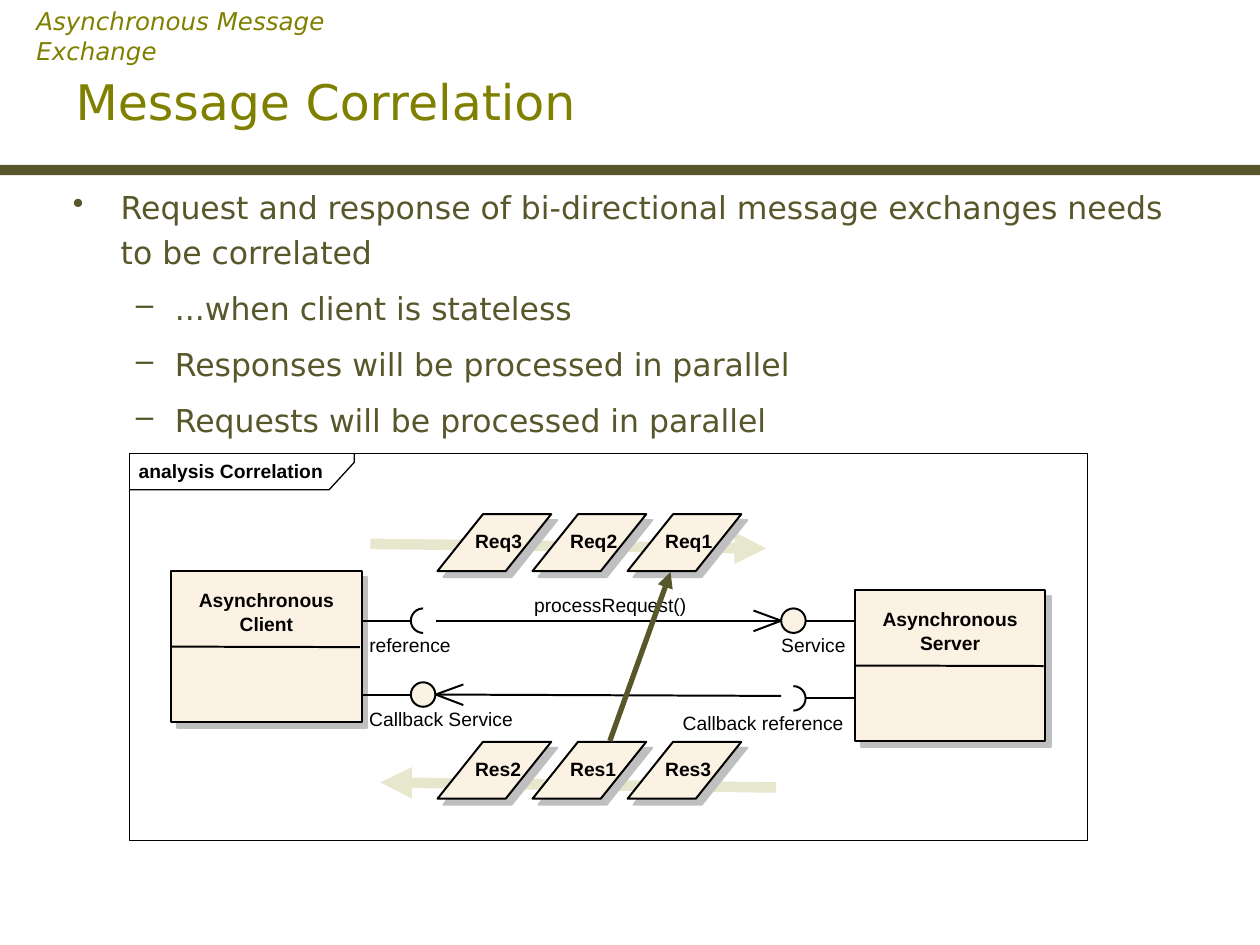
from dataclasses import dataclass

from lxml.etree import SubElement
from pptx import Presentation
from pptx.dml.color import RGBColor
from pptx.enum.shapes import MSO_CONNECTOR, MSO_SHAPE as Shape
from pptx.enum.text import MSO_ANCHOR as Anchor, MSO_AUTO_SIZE as AutoSize, PP_ALIGN as Align
from pptx.oxml.ns import qn
from pptx.util import Pt


@dataclass(frozen=True)
class Theme:
    olive: str = "808000"
    dark: str = "58572B"
    pale: str = "D1D09F"
    cream: str = "FCF2E3"
    shade: str = "C0BFC0"
    ink: str = "000000"
    text_font: str = "DejaVu Sans"
    diagram_font: str = "Arial"
    title_size: float = 28
    body_size: float = 18
    header_size: float = 14
    label_size: float = 11
    stroke: float = 1.13
    shadow_offset: float = 3.4


THEME = Theme()
BODY = [
    (0, "Request and response of bi-directional message exchanges needs to be correlated"),
    (1, "...when client is stateless"),
    (1, "Responses will be processed in parallel"),
    (1, "Requests will be processed in parallel"),
]
BULLETS = [("•", 27.4, 27.4), ("–", 58.3, 22.3)]  # character, margin, hanging indent
BOX_WIDTH, BOX_HEIGHT = 108.7, 86.6
CARD_WIDTH, CARD_HEIGHT, CARD_STEP = 65, 32.5, 54.3
PORT = 14


def color(value):
    return RGBColor.from_string(value)


def add_run(paragraph, text, font, size, fill, bold=False, italic=False):
    run = paragraph.add_run()
    run.text = text
    run.font.name, run.font.size = font, Pt(size)
    run.font.bold, run.font.italic = bold, italic
    run.font.color.rgb = color(fill)


def prepare_frame(shape, margins=(7.2, 3.6), wrap=True, anchor=Anchor.TOP):
    frame = shape.text_frame
    frame.auto_size = AutoSize.NONE
    frame.word_wrap = wrap
    frame.vertical_anchor = anchor
    frame.margin_left = frame.margin_right = Pt(margins[0])
    frame.margin_top = frame.margin_bottom = Pt(margins[1])
    return frame


def add_text_box(shapes, left, top, width, height):
    return shapes.add_textbox(Pt(left), Pt(top), Pt(width), Pt(height))


def add_label(shapes, text, left, top, width, bold=False, align=Align.LEFT):
    box = add_text_box(shapes, left, top, width, 13)
    paragraph = prepare_frame(box, margins=(0, 0), wrap=False).paragraphs[0]
    paragraph.alignment = align
    add_run(paragraph, text, THEME.diagram_font, THEME.label_size, THEME.ink, bold)


def paint(shape, fill=None, line=None, stroke=THEME.stroke):
    shape.shadow.inherit = False
    if fill:
        shape.fill.solid()
        shape.fill.fore_color.rgb = color(fill)
    else:
        shape.fill.background()
    if line:
        shape.line.color.rgb = color(line)
        shape.line.width = Pt(stroke)
    else:
        shape.line.fill.background()


def add_preset(shapes, kind, left, top, width, height, adjustments=(), **style):
    shape = shapes.add_shape(kind, Pt(left), Pt(top), Pt(width), Pt(height))
    for index, value in enumerate(adjustments):
        shape.adjustments[index] = value
    paint(shape, **style)


def add_shadowed(shapes, kind, left, top, width, height, adjustments=()):
    for offset, fill, line in ((THEME.shadow_offset, THEME.shade, THEME.shade),
                               (0, THEME.cream, THEME.ink)):
        add_preset(shapes, kind, left + offset, top + offset, width, height,
                   adjustments, fill=fill, line=line)


def add_line(shapes, start, end, fill=THEME.ink, width=THEME.stroke, arrow=False, alpha=None):
    line = shapes.add_connector(MSO_CONNECTOR.STRAIGHT, *map(Pt, (*start, *end)))
    line.line.color.rgb = color(fill)
    line.line.width = Pt(width)
    properties = line._element.spPr
    outline = properties.find(qn("a:ln"))
    if alpha:
        SubElement(outline.find(".//" + qn("a:srgbClr")), qn("a:alpha"), val=str(alpha * 1000))
    if arrow:
        SubElement(outline, qn("a:tailEnd"), type="triangle")
    SubElement(properties, qn("a:effectLst"))


def add_open_arrow(shapes, start, tip):
    add_line(shapes, start, tip)
    back = 15.8 if start[0] > tip[0] else -15.8
    for rise in (-5.8, 6):
        add_line(shapes, tip, (tip[0] + back, tip[1] + rise))


def add_component(shapes, name_lines, left, top):
    add_shadowed(shapes, Shape.RECTANGLE, left, top, BOX_WIDTH, BOX_HEIGHT)
    for index, text in enumerate(name_lines):
        add_label(shapes, text, left, top + 10 + 13.7 * index, BOX_WIDTH, True, Align.CENTER)
    add_line(shapes, (left, top + 43.3), (left + BOX_WIDTH - 1, top + 43.6))


def add_port(shapes, left, center_y, edge, socket=None):
    """Ball or half-circle socket, joined to the component edge."""
    near = left if edge < left else left + PORT
    add_line(shapes, (edge, center_y), (near, center_y))
    kind, fill = (Shape.ARC, None) if socket else (Shape.OVAL, THEME.cream)
    add_preset(shapes, kind, left, center_y - PORT / 2, PORT, PORT, socket or (),
               fill=fill, line=THEME.ink)


def add_cards(shapes, names, top):
    for index, name in enumerate(names):
        left = 250 + CARD_STEP * index
        add_shadowed(shapes, Shape.PARALLELOGRAM, left, top, CARD_WIDTH, CARD_HEIGHT, (0.8,))
        add_label(shapes, name, left + 21.5, top + 8.9, 27.2, bold=True)


def add_frame(shapes):
    left, top = 74.2, 259.2
    add_preset(shapes, Shape.RECTANGLE, left, top, 547.2, 221, line=THEME.ink, stroke=0)
    builder = shapes.build_freeform(Pt(left), Pt(top + 20.6))
    corners = [(113.9, 20.6), (128.2, 5), (128.2, 0)]
    builder.add_line_segments([(Pt(left + x), Pt(top + y)) for x, y in corners], close=False)
    paint(builder.convert_to_shape(), line=THEME.ink, stroke=0)
    add_label(shapes, "analysis Correlation", 79.2, 262.3, 105.8, bold=True)


def add_diagram(shapes):
    add_frame(shapes)
    client_left, server_left = 97.9, 488.6
    client_edge = client_left + BOX_WIDTH
    add_component(shapes, ["Asynchronous", "Client"], client_left, 326.2)
    add_component(shapes, ["Asynchronous", "Server"], server_left, 337)

    left_port, right_port = 234.8, 446.4
    request_y, callback_y = 354.7, 396.9
    # Arc adjustments count in units of 5/3 degree, clockwise from the right.
    add_port(shapes, left_port, request_y, client_edge, socket=(54, 162))
    add_port(shapes, left_port, callback_y, client_edge)
    add_port(shapes, right_port, request_y, server_left)
    add_port(shapes, right_port, 399.1, server_left, socket=(162, 54))

    add_cards(shapes, ["Req3", "Req2", "Req1"], 293.8)
    add_cards(shapes, ["Res2", "Res1", "Res3"], 423.9)
    add_open_arrow(shapes, (249, request_y), (right_port, request_y))
    add_open_arrow(shapes, (right_port, 397.7), (249, callback_y))
    for text, left, top, width in [
        ("reference", 211, 362, 46.8),
        ("Callback Service", 211, 404.2, 82.1),
        ("Service", 446.4, 362, 36.7),
        ("Callback reference", 390.1, 406.7, 92.2),
        ("processRequest()", 305.2, 339.2, 87.1),
    ]:
        add_label(shapes, text, left, top, width)


def add_title(slide):
    title = slide.shapes.title
    title.left, title.top, title.width, title.height = map(Pt, (36, 24.5, 653.8, 66.2))
    paragraph = prepare_frame(title, anchor=Anchor.MIDDLE).paragraphs[0]
    paragraph.alignment = Align.LEFT
    add_run(paragraph, "Message Correlation", THEME.text_font, THEME.title_size, THEME.olive)


def add_header(shapes):
    paragraph = prepare_frame(add_text_box(shapes, 13.7, 0, 222.5, 24.5)).paragraphs[0]
    add_run(paragraph, "Asynchronous Message Exchange", THEME.text_font,
            THEME.header_size, THEME.olive, italic=True)


def add_body(shapes):
    frame = prepare_frame(add_text_box(shapes, 34.5, 99.4, 653.8, 157.7))
    for index, (level, text) in enumerate(BODY):
        paragraph = frame.add_paragraph() if index else frame.paragraphs[0]
        paragraph.level = level
        character, margin, hanging = BULLETS[level]
        properties = paragraph._p.get_or_add_pPr()
        properties.set("marL", str(Pt(margin)))
        properties.set("indent", str(-Pt(hanging)))
        bullet_color = SubElement(properties, qn("a:buClr"))
        SubElement(bullet_color, qn("a:srgbClr"), val=THEME.dark)
        SubElement(properties, qn("a:buChar"), char=character)
        paragraph.line_spacing, paragraph.space_after = Pt(26), Pt(6)
        add_run(paragraph, text, THEME.text_font, THEME.body_size, THEME.dark)


def main():
    presentation = Presentation()
    presentation.slide_width, presentation.slide_height = Pt(720), Pt(540)
    slide = presentation.slides.add_slide(presentation.slide_layouts[5])
    shapes = slide.shapes
    add_preset(shapes, Shape.RECTANGLE, 0, 94.2, 720, 5.9, fill=THEME.dark)
    add_title(slide)
    add_body(shapes)
    add_header(shapes)
    for start, end in (((443.5, 450), (217.4, 447.1)), ((211.7, 310.8), (437.8, 313.4))):
        add_line(shapes, start, end, THEME.pale, 6, arrow=True, alpha=50)
    add_diagram(shapes.add_group_shape().shapes)
    add_line(shapes, (348.5, 423.4), (383.2, 326.9), THEME.dark, 3, arrow=True)
    presentation.save("out.pptx")


if __name__ == "__main__":
    main()
